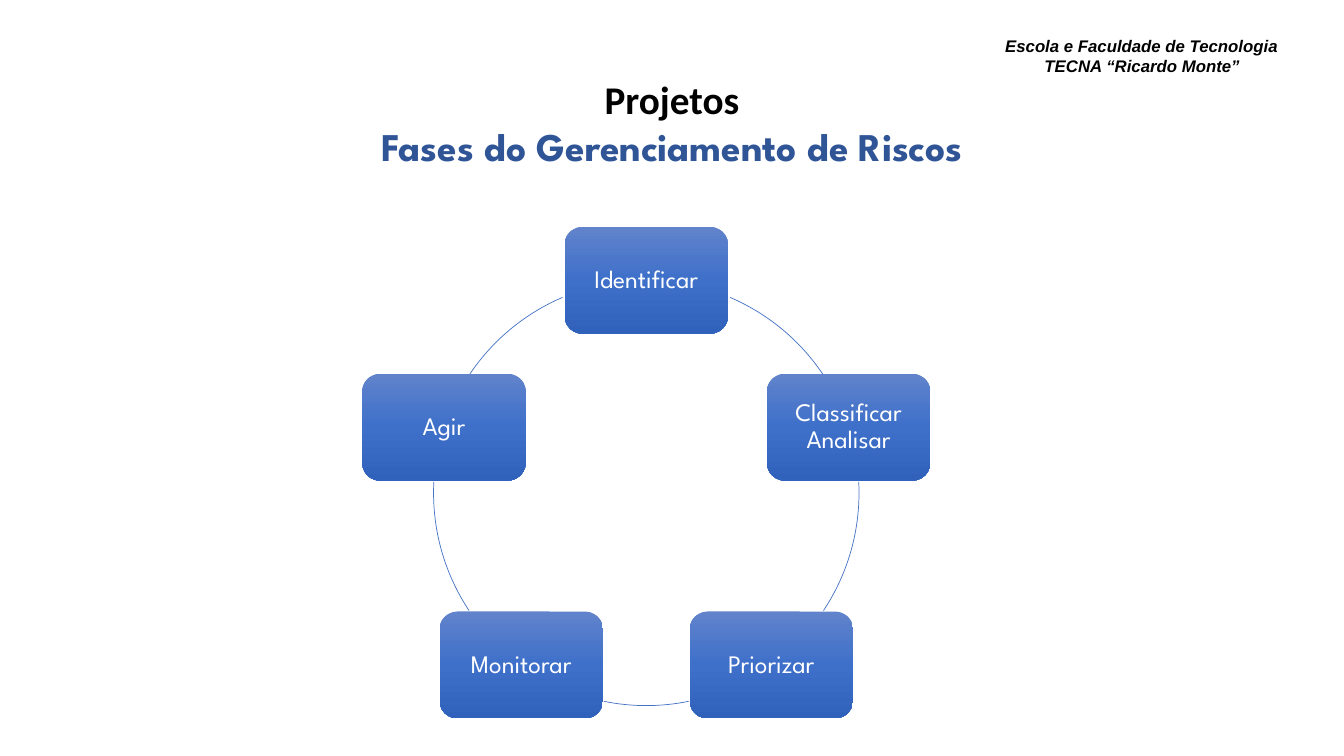
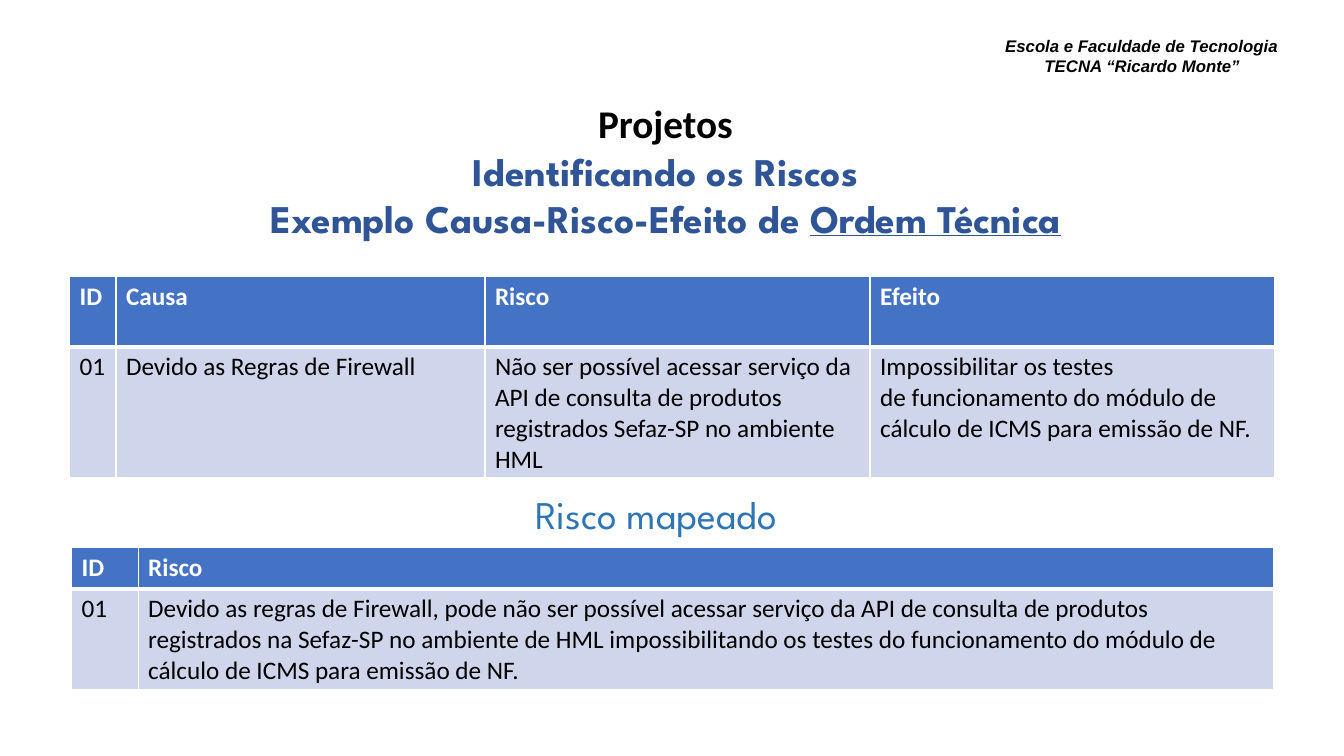
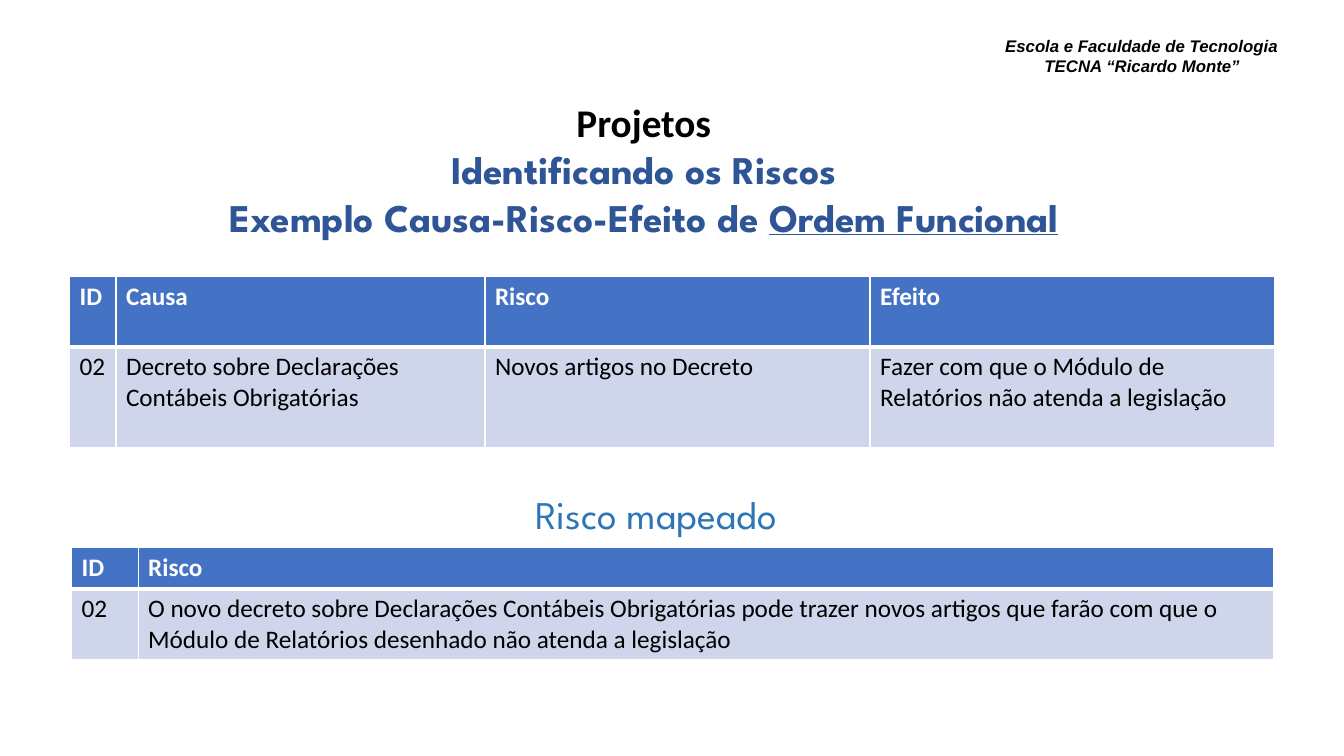
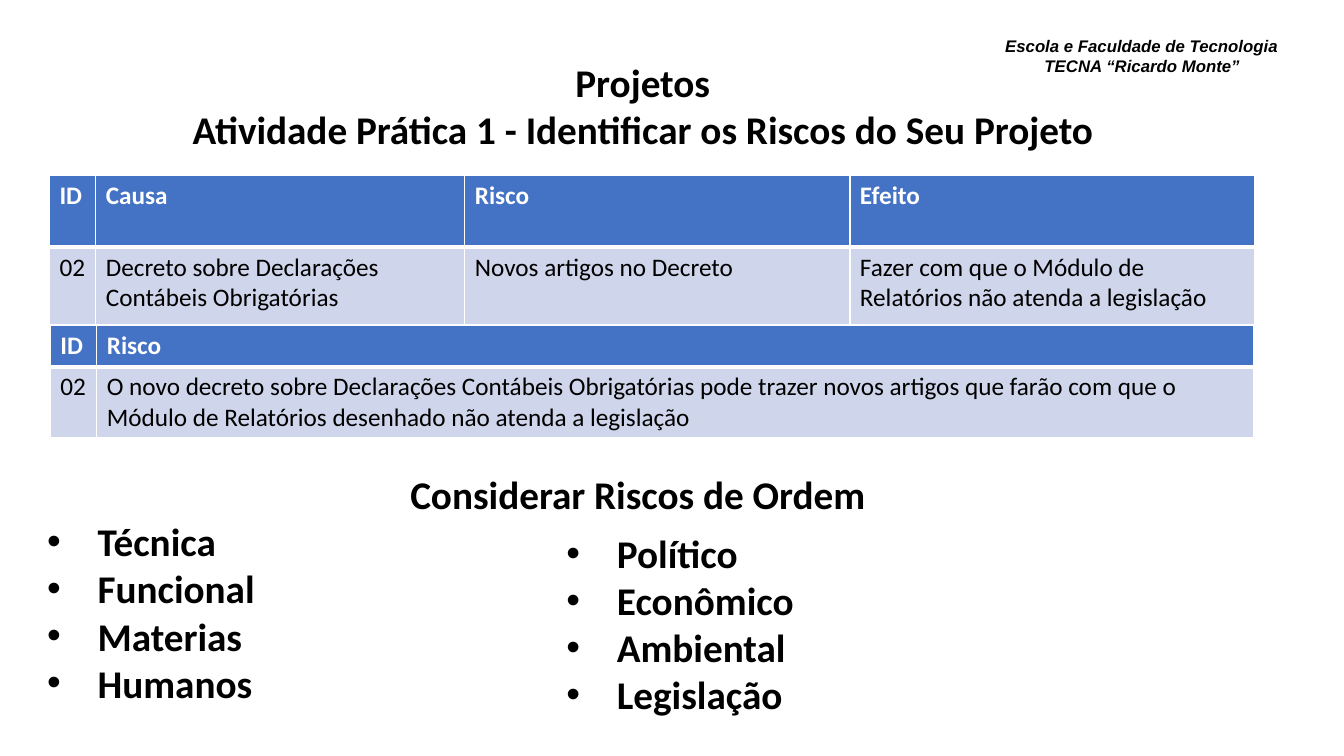
from copy import deepcopy
from dataclasses import dataclass
from math import cos, radians, sin

from lxml import etree
from pptx import Presentation
from pptx import util as u
from pptx.dml import color
from pptx.enum import shapes, text
from pptx.oxml import ns

BLUE, PALE, WHITE, BLACK = "4472C4", "CFD5EA", "FFFFFF", "000000"
NODE_GRADIENT = [(0, "6183CB"), (0.5, "3E70CA"), (1, "3062BB")]
CENTER = text.PP_ALIGN.CENTER


def rgb(code):
    return color.RGBColor.from_string(code)


@dataclass(frozen=True)
class Style:
    face: str
    size: int
    color: str
    bold: bool = False
    italic: bool = False

    def apply(self, font):
        font.name, font.size = self.face, u.Pt(self.size)
        font.bold, font.italic = self.bold, self.italic
        font.color.rgb = rgb(self.color)


SCHOOL = Style("Arial", 12, BLACK, True, True)
HEADING = Style("Calibri", 28, BLACK, True)
TOPIC = Style("League Spartan", 28, "2F5597", True)
CAPTION = Style("League Spartan", 28, "2E75B6")
NODE = Style("League Spartan", 18, WHITE)
TABLE_HEAD = Style("Calibri", 18, WHITE, True)
TABLE_BODY = Style("Calibri", 18, BLACK)


class Deck:
    def __init__(self):
        self.deck = Presentation()
        self.deck.slide_width, self.deck.slide_height = u.Inches(13.33), u.Inches(7.5)
        self.page = None

    def new_page(self):
        self.page = self.deck.slides.add_slide(self.deck.slide_layouts[6])
        box = self.box(9.96, 0.35, 2.74, 0.65)
        box.margin_left = box.margin_right = box.margin_top = box.margin_bottom = 0
        para = self.line(box, "Escola e Faculdade de Tecnologia TECNA “Ricardo Monte”", SCHOOL)
        self.indent(para, 0.4, -0.39)

    # Text
    def box(self, left, top, width, height):
        shape = self.page.shapes.add_textbox(*map(u.Inches, (left, top, width, height)))
        shape.text_frame.word_wrap = True
        return shape.text_frame

    def line(self, box, words, style, align=None, underlined=""):
        first = box.paragraphs[0]
        para = box.add_paragraph() if first.runs else first
        para.alignment = align
        style.apply(para.font)
        for part in words.split("\v"):
            if para.runs:
                para.add_line_break()
            para.add_run().text = part
        if underlined:
            span = para.add_run()
            span.text = underlined
            span.font.underline = True
        return para

    def indent(self, para, left, first):
        properties = para._p.get_or_add_pPr()
        properties.set("marL", str(u.Inches(left)))
        properties.set("indent", str(u.Inches(first)))
        return properties

    def title(self, at, topics, topic_style=TOPIC, underlined=""):
        box = self.box(*at)
        self.line(box, "Projetos", HEADING, CENTER)
        for topic in topics:
            last = topic == topics[-1]
            self.line(box, topic, topic_style, CENTER, underlined if last else "")

    def bullets(self, box, items):
        for item in items:
            properties = self.indent(self.line(box, item, HEADING), 0.5, -0.5)
            mark_font = etree.Element(ns.qn("a:buFont"), typeface="Arial")
            mark = etree.Element(ns.qn("a:buChar"), char="•")
            properties.insert(0, mark_font)
            properties.insert(1, mark)

    # Tables
    def table(self, left, top, widths, heights, rows):
        frame = self.page.shapes.add_table(
            len(rows), len(widths), u.Inches(left), u.Inches(top),
            u.Inches(sum(widths)), u.Inches(sum(heights)))
        table = frame.table
        table.horz_banding = False
        for column, width in zip(table.columns, widths):
            column.width = u.Inches(width)
        for index, (row, height, values) in enumerate(zip(table.rows, heights, rows)):
            row.height = u.Inches(height)
            head = index == 0
            for cell, value in zip(row.cells, values):
                self.borders(cell, {"L": 1, "R": 1, "T": 1 if head else 3, "B": 3 if head else 1})
                cell.fill.solid()
                cell.fill.fore_color.rgb = rgb(BLUE if head else PALE)
                self.line(cell.text_frame, value, TABLE_HEAD if head else TABLE_BODY)

    def borders(self, cell, sides):
        properties = cell._tc.get_or_add_tcPr()
        for side, points in sides.items():
            edge = etree.SubElement(properties, ns.qn("a:ln" + side), w=str(u.Pt(points)))
            fill = etree.SubElement(edge, ns.qn("a:solidFill"))
            etree.SubElement(fill, ns.qn("a:srgbClr"), val=WHITE)

    def cause_table(self, left, top, heights, values):
        self.table(left, top, [0.46, 3.66, 3.82, 4.01], heights,
                   [["ID", "Causa", "Risco", "Efeito"], values])

    def risk_table(self, left, top, widths, body_height, values):
        self.table(left, top, widths, [0.41, body_height], [["ID", "Risco"], values])

    # Cycle diagram
    def shape(self, kind, left, top, width, height):
        shape = self.page.shapes.add_shape(kind, *map(u.Inches, (left, top, width, height)))
        shape.shadow.inherit = False
        return shape

    def node(self, center_x, center_y, label):
        width, height = 1.62, 1.06
        shape = self.shape(shapes.MSO_SHAPE.ROUNDED_RECTANGLE,
                           center_x - width / 2, center_y - height / 2, width, height)
        shape.line.fill.background()
        shape.fill.gradient()
        shape.fill.gradient_angle = 270
        stops = shape._element.spPr.find(".//" + ns.qn("a:gsLst"))
        stops.insert(1, deepcopy(stops[0]))
        for stop, (position, code) in zip(shape.fill.gradient_stops, NODE_GRADIENT):
            stop.position, stop.color.rgb = position, rgb(code)
        box = shape.text_frame
        box.word_wrap = True
        box.vertical_anchor = text.MSO_ANCHOR.MIDDLE
        self.line(box, label, NODE, CENTER).line_spacing = 0.9

    def arc(self, center_x, center_y, radius, start, end):
        shape = self.shape(shapes.MSO_SHAPE.ARC, center_x - radius, center_y - radius,
                           2 * radius, 2 * radius)
        shape.fill.background()
        shape.line.color.rgb = rgb(BLUE)
        shape.line.width = u.Pt(0.5)
        # Arc adjustments count 0.6 for each degree
        for index, angle in enumerate((start, end)):
            shape.adjustments[index] = angle % 360 * 0.6

    def cycle(self, center_x, center_y, radius, labels, arcs):
        step = 360 / len(labels)
        for index, (label, (start, end)) in enumerate(zip(labels, arcs)):
            angle = radians(index * step - 90)
            self.node(center_x + radius * cos(angle), center_y + radius * sin(angle), label)
            self.arc(center_x, center_y, radius, start, end)


DECREE_CAUSE = ["02", "Decreto sobre Declarações Contábeis Obrigatórias",
                "Novos artigos no Decreto",
                "Fazer com que o Módulo de Relatórios não atenda a legislação"]
DECREE_RISK = ["02", "O novo decreto sobre Declarações Contábeis Obrigatórias pode trazer "
               "novos artigos que farão com que o Módulo de Relatórios desenhado não atenda "
               "a legislação"]
FIREWALL_CAUSE = ["01", "Devido as Regras de Firewall",
                  "Não ser possível acessar serviço da API de consulta de produtos "
                  "registrados Sefaz-SP no ambiente HML",
                  "Impossibilitar os testes\vde funcionamento do módulo de cálculo de ICMS "
                  "para emissão de NF."]
FIREWALL_RISK = ["01", "Devido as regras de Firewall, pode não ser possível acessar serviço da "
                 "API de consulta de produtos registrados na Sefaz-SP no ambiente de HML "
                 "impossibilitando os testes do funcionamento do módulo de cálculo de ICMS "
                 "para emissão de NF."]


def main():
    slides = Deck()

    # Risk management phases
    slides.new_page()
    slides.title((3.21, 0.7, 6.91, 1.04), ["Fases do Gerenciamento de Riscos"])
    slides.cycle(6.41, 4.89, 2.11,
                 ["Identificar", "Classificar\vAnalisar", "Priorizar", "Monitorar", "Agir"],
                 [(293.2, 326), (357, 33.6), (78.5, 101.5), (146.4, 183), (214, 246.8)])

    # Cause, risk and effect examples
    examples = [
        ((1.83, 0.94, 9.54, 1.51), "Ordem Técnica", FIREWALL_CAUSE, 1.3, FIREWALL_RISK, 1),
        ((1.44, 0.93, 9.89, 1.82), "Ordem Funcional", DECREE_CAUSE, 1, DECREE_RISK, 0.7),
    ]
    for title_at, order, cause, cause_height, risk, risk_height in examples:
        slides.new_page()
        slides.title(title_at, ["Identificando os Riscos", "Exemplo Causa-Risco-Efeito de "],
                     underlined=order)
        slides.cause_table(0.69, 2.74, [0.7, cause_height], cause)
        slides.risk_table(0.71, 5.43, [0.66, 11.26], risk_height, risk)
        slides.line(slides.box(5.21, 4.82, 3.98, 0.57), "Risco mapeado", CAPTION)

    # Practical activity
    slides.new_page()
    slides.title((1.43, 0.53, 9.89, 1.04),
                 ["Atividade Prática 1 - Identificar os Riscos do Seu Projeto"], HEADING)
    slides.cause_table(0.49, 1.74, [0.71, 0.77], DECREE_CAUSE)
    slides.risk_table(0.5, 3.23, [0.46, 11.47], 0.7, DECREE_RISK)
    orders = slides.box(0.37, 4.62, 11.91, 2.46)
    slides.line(orders, "Considerar Riscos de Ordem", HEADING, CENTER)
    slides.bullets(orders, ["Técnica", "Funcional", "Materias", "Humanos"])
    slides.bullets(slides.box(5.52, 5.2, 7.01, 2),
                   ["Político", "Econômico", "Ambiental", "Legislação"])

    slides.deck.save("out.pptx")


if __name__ == "__main__":
    main()
